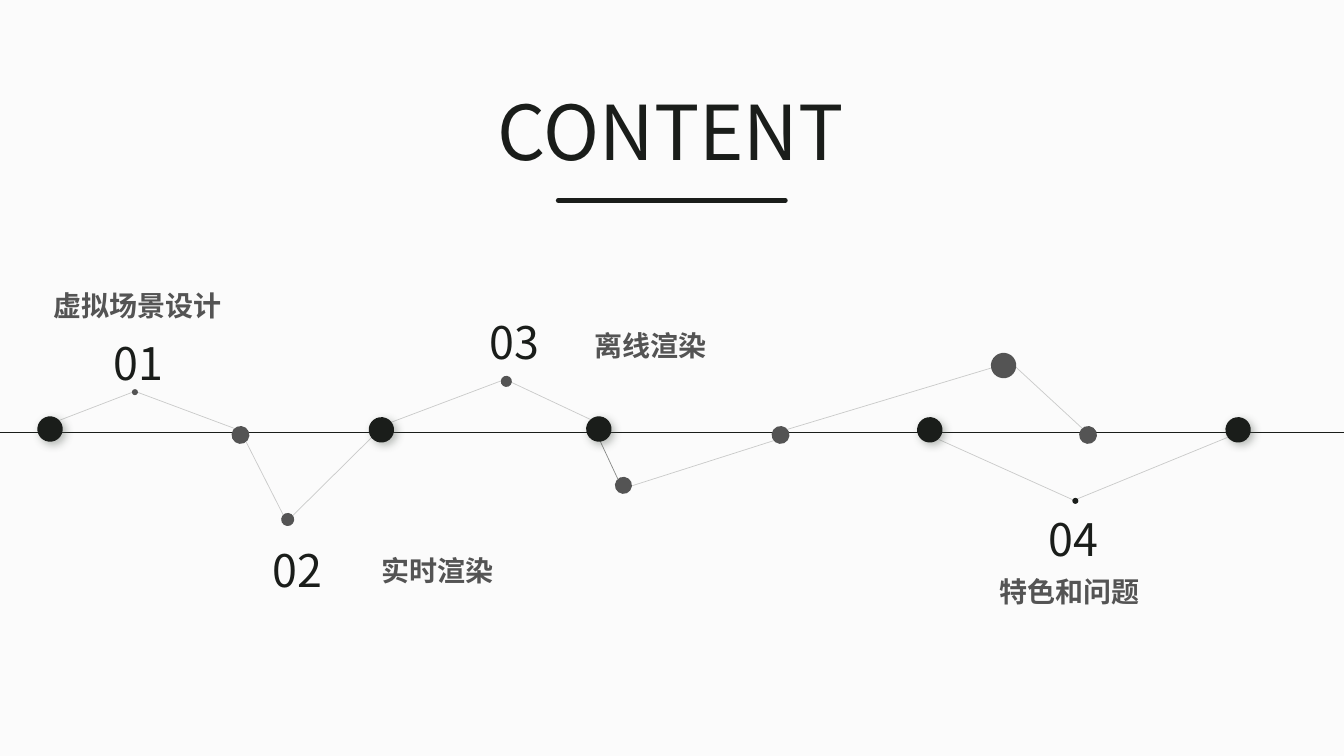
from lxml.etree import SubElement
from pptx import Presentation
from pptx.dml.color import RGBColor
from pptx.enum.shapes import MSO_CONNECTOR, MSO_SHAPE
from pptx.enum.text import MSO_AUTO_SIZE, PP_ALIGN
from pptx.oxml.ns import qn
from pptx.util import Cm, Pt

COLORS = {
    "background": "FBFBFB",
    "ink": "1A1D1A",
    "grey": "545454",
    "shadow": "505950",
}
FONT = "Noto Sans CJK SC"

MILESTONES = [(1.26, 10.81), (9.61, 10.83), (15.09, 10.81), (23.43, 10.83), (31.2, 10.83)]
STOPS = [(6.06, 10.96), (19.67, 10.96), (27.42, 10.96)]
PEAKS = [
    (3.4, 9.88, 0.15, "grey"),
    (7.25, 13.09, 0.33, "grey"),
    (12.76, 9.61, 0.28, "grey"),
    (15.71, 12.23, 0.43, "grey"),
    (25.29, 9.21, 0.64, "grey"),
    (27.1, 12.62, 0.15, "ink"),
]
LINKS = [
    (1.5, 10.59, 3.4, 9.86, 21),
    (3.4, 9.86, 5.92, 10.8, 21),
    (6.2, 11.13, 7.14, 12.98, 21),
    (7.37, 13, 9.37, 11.02, 21),
    (9.86, 10.64, 12.62, 9.6, 21),
    (14.88, 10.57, 12.88, 9.63, 21),
    (15.01, 10.87, 15.57, 12.07, 51),
    (19.51, 11.1, 15.93, 12.24, 21),
    (24.99, 9.27, 19.84, 10.82, 21),
    (27.28, 10.8, 25.6, 9.25, 21),
    (27.05, 12.6, 23.65, 11.07, 21),
    (30.94, 11.02, 27.08, 12.6, 21),
]
NUMBERS = [("01", 1.04, 8.33), ("02", 5.05, 13.56), ("03", 10.52, 7.8), ("04", 24.61, 12.78)]
TOPICS = [
    ("虚拟场景设计", -1.12, 7.14, 9.19, True),
    ("实时渲染", 9.37, 13.82, 3.33, False),
    ("离线渲染", 14.73, 8.15, 3.33, False),
    ("特色和问题", 24.94, 14.35, 4.04, False),
]


def rgb(color):
    return RGBColor.from_string(COLORS[color])


def add_line(slide, x1, y1, x2, y2, width, opacity=100, cap="flat"):
    line = slide.shapes.add_connector(MSO_CONNECTOR.STRAIGHT, Cm(x1), Cm(y1), Cm(x2), Cm(y2))
    line.line.color.rgb = rgb("ink")
    line.line.width = Pt(width)
    properties = line._element.spPr
    properties.find(qn("a:ln")).set("cap", cap)
    if opacity < 100:
        color = properties.find(".//" + qn("a:srgbClr"))
        SubElement(color, qn("a:alpha"), val=str(opacity * 1000))
    SubElement(properties, qn("a:effectLst"))


def add_dot(slide, x, y, diameter, color):
    radius = diameter / 2
    dot = slide.shapes.add_shape(
        MSO_SHAPE.OVAL, Cm(x - radius), Cm(y - radius), Cm(diameter), Cm(diameter)
    )
    dot.rotation = 186.2
    dot.fill.solid()
    dot.fill.fore_color.rgb = rgb(color)
    dot.line.fill.background()
    dot.shadow.inherit = False
    return dot


def cast_shadow(dot):
    effects = dot._element.spPr.find(qn("a:effectLst"))
    shadow = SubElement(
        effects, qn("a:outerShdw"), blurRad=str(Pt(6)), dist=str(Pt(3)),
        dir=str(45 * 60000), algn="tl", rotWithShape="0",
    )
    color = SubElement(shadow, qn("a:srgbClr"), val=COLORS["shadow"])
    SubElement(color, qn("a:alpha"), val="40000")


def add_text(slide, text, x, y, width, height, size, color, centered=False, bold=False):
    box = slide.shapes.add_textbox(Cm(x), Cm(y), Cm(width), Cm(height))
    frame = box.text_frame
    frame.text = text
    frame.word_wrap = centered
    frame.auto_size = MSO_AUTO_SIZE.SHAPE_TO_FIT_TEXT
    paragraph = frame.paragraphs[0]
    paragraph.alignment = PP_ALIGN.CENTER if centered else PP_ALIGN.LEFT
    run = paragraph.runs[0]
    run.font.name = FONT
    run.font.size = Pt(size)
    run.font.bold = bold
    run.font.color.rgb = rgb(color)
    SubElement(run._r.get_or_add_rPr(), qn("a:ea"), typeface=FONT)


def main():
    presentation = Presentation()
    presentation.slide_width = Cm(33.87)
    presentation.slide_height = Cm(19.05)
    slide = presentation.slides.add_slide(presentation.slide_layouts[6])
    slide.background.fill.solid()
    slide.background.fill.fore_color.rgb = rgb("background")

    add_text(slide, "CONTENT", 12.29, 2.01, 9.73, 2.57, 54, "ink")
    add_line(slide, 14.07, 5.05, 19.79, 5.05, 3.5, cap="rnd")
    add_line(slide, 0, 10.9, 33.87, 10.9, 0.75)

    for x, y in STOPS:
        add_dot(slide, x, y, 0.45, "grey")
    for x, y in MILESTONES:
        cast_shadow(add_dot(slide, x, y, 0.64, "ink"))
    for x1, y1, x2, y2, opacity in LINKS:
        add_line(slide, x1, y1, x2, y2, 0.5, opacity)
    for x, y, diameter, color in PEAKS:
        add_dot(slide, x, y, diameter, color)

    for number, x, y in NUMBERS:
        add_text(slide, number, x, y, 4.9, 1.63, 32, "ink", centered=True)
    for topic, x, y, width, centered in TOPICS:
        add_text(slide, topic, x, y, width, 1.12, 20, "grey", centered, bold=True)

    presentation.save("out.pptx")


if __name__ == "__main__":
    main()
